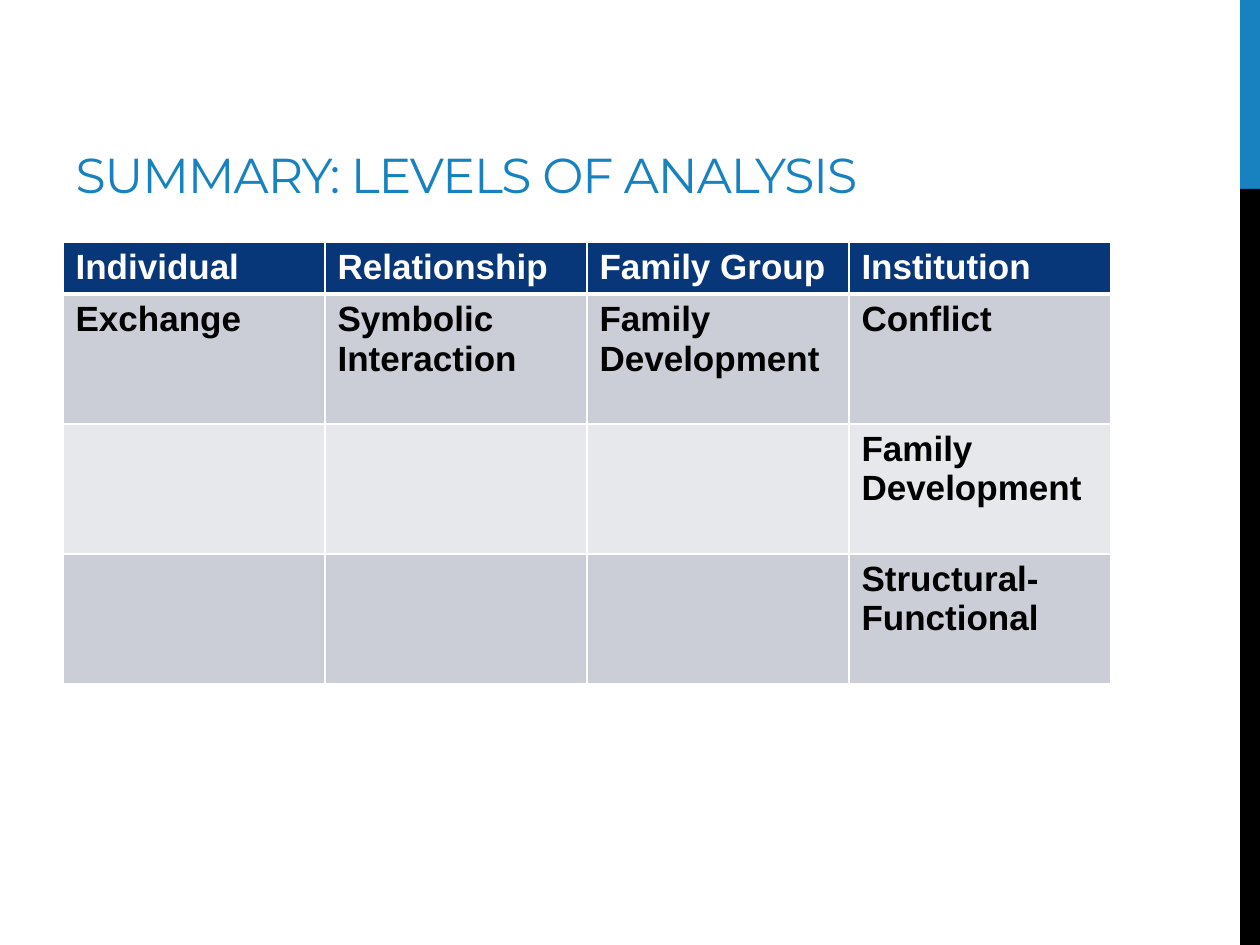
"""Build the summary slide on levels of analysis."""
from typing import NamedTuple

from lxml import etree
from pptx import Presentation
from pptx import util as u
from pptx.dml.color import RGBColor
from pptx.enum import shapes, text
from pptx.oxml.ns import qn

PX = u.Inches(1) / 126
BLUE = RGBColor(0x17, 0x82, 0xBF)
NAVY = RGBColor(0x07, 0x37, 0x79)
BLACK = RGBColor(0x00, 0x00, 0x00)
WHITE = RGBColor(0xFF, 0xFF, 0xFF)
BAND_DARK = RGBColor(0xCC, 0xCE, 0xD7)
BAND_LIGHT = RGBColor(0xE7, 0xE8, 0xEC)


class Box(NamedTuple):
    x: int
    y: int
    w: int
    h: int

    def emu(self) -> list[u.Emu]:
        return [px(v) for v in self]


class Bar(NamedTuple):
    box: Box
    color: RGBColor


class Row(NamedTuple):
    cells: tuple[str, ...]
    height: int
    fill: RGBColor
    color: RGBColor
    top: int
    bottom: int


BARS = (Bar(Box(1240, 0, 20, 189), BLUE), Bar(Box(1240, 189, 20, 756), BLACK))
TITLE_BOX = Box(63, 21, 1166, 189)
TABLE_X, TABLE_Y, COLUMN_W = 63, 242, 262
ROWS = (
    Row(("Individual", "Relationship", "Family Group", "Institution"), 52, NAVY, WHITE, 1, 3),
    Row(("Exchange", "Symbolic Interaction", "Family Development", "Conflict"),
        130, BAND_DARK, BLACK, 3, 1),
    Row(("", "", "", "Family Development"), 130, BAND_LIGHT, BLACK, 1, 1),
    Row(("", "", "", "Structural-Functional"), 130, BAND_DARK, BLACK, 1, 1),
)


def px(value: int) -> u.Emu:
    return u.Emu(round(value * PX))


def style_run(r, font: str, size: int, color: RGBColor, bold: bool) -> None:
    r.font.name = font
    r.font.size = u.Pt(size)
    r.font.bold = bold
    r.font.color.rgb = color


def draw_bar(s, bar: Bar) -> None:
    sp = s.shapes.add_shape(shapes.MSO_SHAPE.RECTANGLE, *bar.box.emu())
    sp.shadow.inherit = False
    sp.fill.solid()
    sp.fill.fore_color.rgb = bar.color
    sp.line.fill.background()


def draw_title(s, title: str) -> None:
    sp = s.shapes.title
    sp.left, sp.top, sp.width, sp.height = TITLE_BOX.emu()
    tf = sp.text_frame
    tf.text = title
    tf.word_wrap = True
    tf.auto_size = text.MSO_AUTO_SIZE.NONE
    tf.vertical_anchor = text.MSO_ANCHOR.BOTTOM
    p = tf.paragraphs[0]
    p.alignment = text.PP_ALIGN.LEFT
    r = p.runs[0]
    style_run(r, "Montserrat", 28, BLUE, False)
    r.font._element.set("spc", "-60")


def add_border(cell, side: str, points: int) -> None:
    tc_pr = cell._tc.get_or_add_tcPr()
    ln = etree.SubElement(tc_pr, qn(f"a:ln{side}"), w=str(u.Pt(points)))
    fill = etree.SubElement(ln, qn("a:solidFill"))
    etree.SubElement(fill, qn("a:srgbClr"), val=str(WHITE))


def draw_cell(cell, row: Row, words: str) -> None:
    for side, points in (("L", 1), ("R", 1), ("T", row.top), ("B", row.bottom)):
        add_border(cell, side, points)
    cell.fill.solid()
    cell.fill.fore_color.rgb = row.fill
    cell.text_frame.text = words
    for r in cell.text_frame.paragraphs[0].runs:
        style_run(r, "Arial", 20, row.color, True)


def draw_table(s, rows: tuple[Row, ...]) -> None:
    count = len(rows[0].cells)
    box = Box(TABLE_X, TABLE_Y, COLUMN_W * count, sum(row.height for row in rows))
    table = s.shapes.add_table(len(rows), count, *box.emu()).table
    for column in table.columns:
        column.width = px(COLUMN_W)
    for i, row in enumerate(rows):
        table.rows[i].height = px(row.height)
        for j, words in enumerate(row.cells):
            draw_cell(table.cell(i, j), row, words)


def main() -> None:
    prs = Presentation()
    prs.slide_width, prs.slide_height = px(1260), px(945)
    s = prs.slides.add_slide(prs.slide_layouts[5])
    for bar in BARS:
        draw_bar(s, bar)
    draw_title(s, "SUMMARY: LEVELS OF ANALYSIS")
    draw_table(s, ROWS)
    prs.save("out.pptx")


if __name__ == "__main__":
    main()
